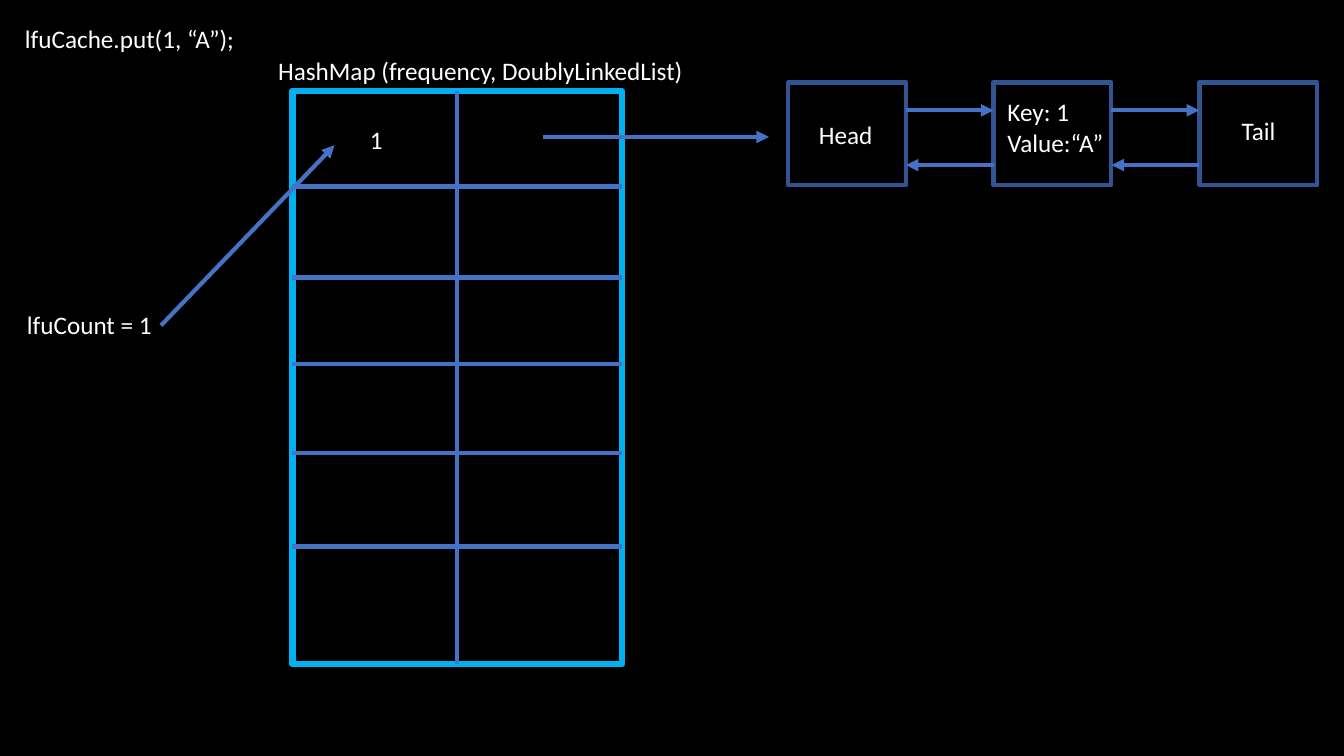
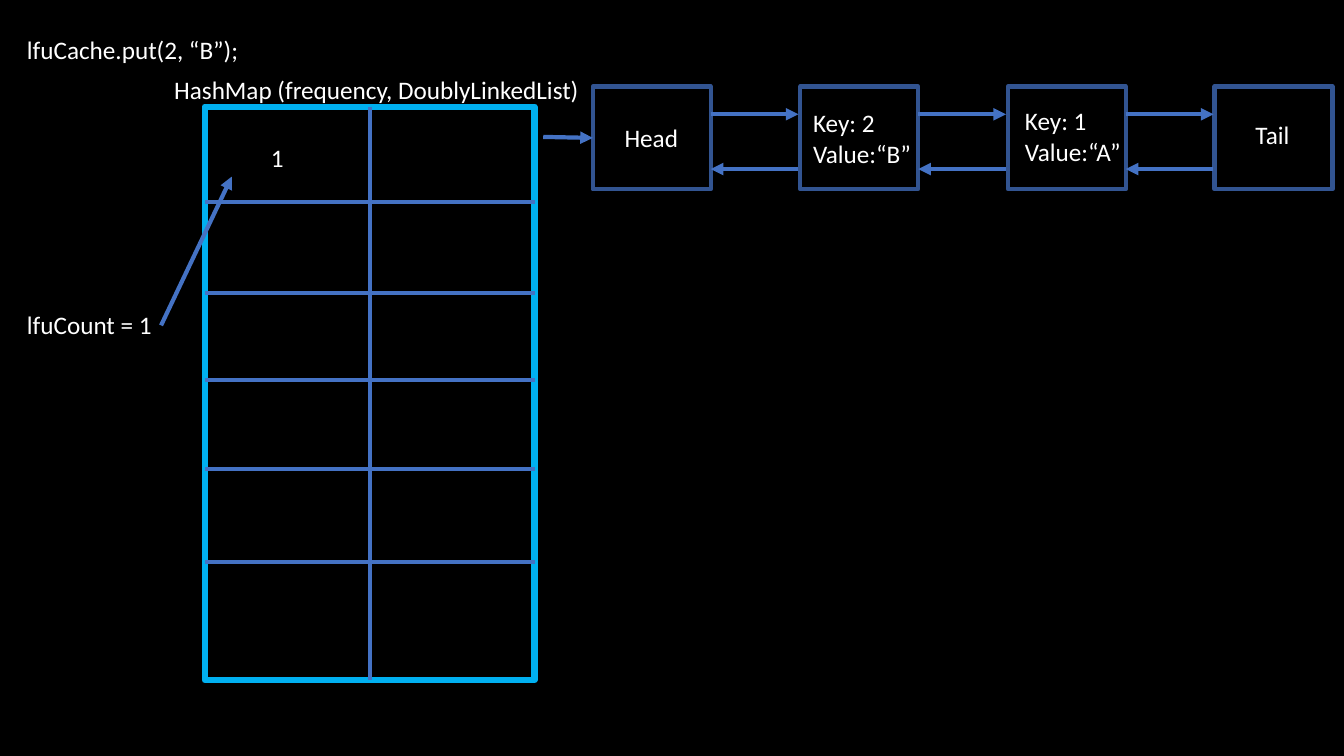
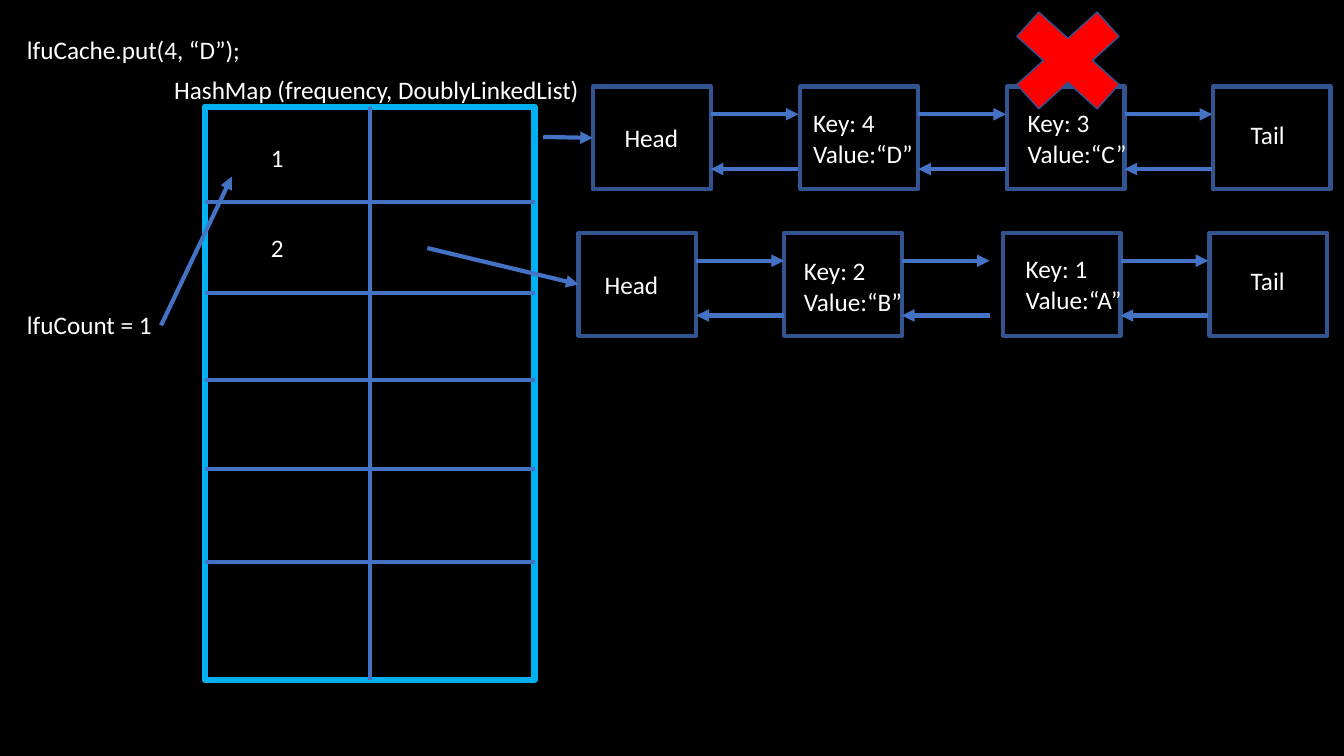
from dataclasses import dataclass

from lxml.etree import SubElement
from pptx import Presentation
from pptx.dml.color import RGBColor
from pptx.enum.shapes import MSO_CONNECTOR as Line, MSO_SHAPE as Shape
from pptx.enum.text import MSO_AUTO_SIZE as AutoSize
from pptx.oxml.ns import qn
from pptx.util import Cm, Pt


@dataclass(frozen=True)
class Theme:
    back: str = "000000"
    text: str = "FFFFFF"
    frame: str = "00B0F0"
    link: str = "4472C4"
    edge: str = "325491"
    cross: str = "FF0000"
    font: str = "Calibri"
    size: float = 18
    frame_width: float = 4.5
    line_width: float = 3
    thin_width: float = 1


MAP_W, MAP_H = 8.31, 14.45
ROW_LINES = (2.41, 4.7, 6.88, 9.12, 11.48)
NODE_W, NODE_H = 2.97, 2.59
LINK_LENGTH, NEXT_DY, PREV_DY = 2.21, 0.7, 2.08
LABEL_W = {"Head": 2.29, "Tail": 1.85}
ENTRY_W = 3.28


class Deck:
    """Draws hash map and linked list diagrams in one theme."""

    def __init__(self, theme):
        self.theme = theme
        self.prs = prs = Presentation()
        prs.slide_width, prs.slide_height = Cm(33.87), Cm(19.05)
        fill = prs.slide_master.background.fill
        fill.solid()
        fill.fore_color.rgb = RGBColor.from_string(theme.back)

    def new_slide(self):
        self.s = self.prs.slides.add_slide(self.prs.slide_layouts[6])

    def stroke(self, shape, color, width):
        shape.line.color.rgb = RGBColor.from_string(color)
        shape.line.width = Pt(width)

    def text(self, x, y, w, content):
        lines = content.split("\n")
        box = self.s.shapes.add_textbox(Cm(x), Cm(y), Cm(w), Cm(0.25 + 0.76 * len(lines)))
        tf = box.text_frame
        for name, value in {"word_wrap": True, "auto_size": AutoSize.SHAPE_TO_FIT_TEXT}.items():
            setattr(tf, name, value)
        font_format = {"name": self.theme.font, "size": Pt(self.theme.size)}
        for i, line in enumerate(lines):
            p = tf.add_paragraph() if i else tf.paragraphs[0]
            r = p.add_run()
            r.text = line
            for name, value in font_format.items():
                setattr(r.font, name, value)
            r.font.color.rgb = RGBColor.from_string(self.theme.text)

    def shape(self, kind, x, y, w, h, fill, edge, width):
        sp = self.s.shapes.add_shape(kind, Cm(x), Cm(y), Cm(w), Cm(h))
        sp.shadow.inherit = False
        sp.fill.solid()
        sp.fill.fore_color.rgb = RGBColor.from_string(fill)
        self.stroke(sp, edge, width)
        return sp

    def line(self, start, end, arrow=False):
        c = self.s.shapes.add_connector(Line.STRAIGHT, *map(Cm, (*start, *end)))
        self.stroke(c, self.theme.link, self.theme.line_width)
        sp_pr = c._element.spPr
        if arrow:
            SubElement(sp_pr.get_or_add_ln(), qn("a:tailEnd"), type="triangle")
        SubElement(sp_pr, qn("a:effectLst"))
        return c

    def arrow(self, start, end):
        return self.line(start, end, arrow=True)

    def hash_map(self, x, y, title_at, keys):
        t = self.theme
        self.text(*title_at, 12, "HashMap (frequency, DoublyLinkedList)")
        frame = self.shape(Shape.RECTANGLE, x, y, MAP_W, MAP_H, t.back, t.frame, t.frame_width)
        middle = x + MAP_W / 2
        divider = self.line((middle, y), (middle, y + MAP_H))
        divider.begin_connect(frame, 0)
        divider.end_connect(frame, 2)
        for dy in ROW_LINES:
            self.line((x + MAP_W, y + dy), (x, y + dy))
        for key, key_x, key_y in keys:
            self.text(key_x, key_y, 0.99, key)

    def linked_list(self, y, nodes):
        t = self.theme
        boxes = [
            self.shape(Shape.RECTANGLE, x, y, NODE_W, NODE_H, t.back, t.edge, t.line_width)
            for x, *_ in nodes
        ]
        for x, *_ in nodes[:-1]:
            near, far = x + NODE_W, x + NODE_W + LINK_LENGTH
            self.arrow((near, y + NEXT_DY), (far, y + NEXT_DY))
            self.arrow((far, y + PREV_DY), (near, y + PREV_DY))
        for x, label, dx, dy in nodes:
            self.text(x + dx, y + dy, LABEL_W.get(label, ENTRY_W), label)
        return boxes[0]

    def point_to(self, start, head):
        end = (head.left.cm, head.top.cm + head.height.cm / 2)
        self.arrow(start, end).end_connect(head, 1)

    def captions(self, call, call_at, count_end):
        self.text(*call_at, 6.53, call)
        self.text(0.43, 7.67, 6.53, "lfuCount = 1")
        self.arrow((4.06, 8.2), count_end)

    def cross(self, x, y, w, h):
        t = self.theme
        self.shape(Shape.MATH_MULTIPLY, x, y, w, h, t.cross, t.edge, t.thin_width)


def entry(key, value):
    return f"Key: {key}\nValue:“{value}”"


def first_put(deck):
    deck.new_slide()
    deck.hash_map(7.37, 2.29, (6.76, 1.27), [("1", 9.07, 3.02)])
    deck.linked_list(2.08, [
        (19.86, "Head", 0.53, 0.79),
        (25.04, entry(1, "A"), 0.1, 0.23),
        (30.23, "Tail", 0.81, 0.71),
    ])
    deck.arrow((13.69, 3.45), (19.38, 3.45))
    deck.captions("lfuCache.put(1, “A”);", (0.38, 0.46), (8.43, 3.66))


def later_put(deck, call, keys, nodes):
    deck.new_slide()
    deck.hash_map(5.16, 2.69, (4.14, 1.75), keys)
    head = deck.linked_list(2.18, [(14.94, "Head", 0.55, 0.79), *nodes])
    deck.point_to((13.69, 3.45), head)
    deck.captions(call, (0.43, 0.74), (5.84, 4.45))


def main():
    deck = Deck(Theme())
    first_put(deck)
    one, two = ("1", 6.58, 3.45), ("2", 6.58, 5.72)
    later_put(deck, "lfuCache.put(2, “B”);", [one], [
        (20.17, entry(2, "B"), 0.07, 0.41),
        (25.4, entry(1, "A"), 0.18, 0.36),
        (30.61, "Tail", 0.78, 0.69),
    ])
    later_put(deck, "lfuCache.put(4, “D”);", [one, two], [
        (20.17, entry(4, "D"), 0.07, 0.41),
        (25.37, entry(3, "C"), 0.28, 0.41),
        (30.56, "Tail", 0.71, 0.69),
    ])
    head = deck.linked_list(5.87, [
        (14.58, "Head", 0.41, 0.79),
        (19.76, entry(2, "B"), 0.25, 0.45),
        (25.27, entry(1, "A"), 0.33, 0.4),
        (30.48, "Tail", 0.79, 0.68),
    ])
    deck.point_to((10.77, 6.25), head)
    deck.cross(24.97, -0.23, 3.89, 3.51)
    deck.prs.save("out.pptx")


if __name__ == "__main__":
    main()
